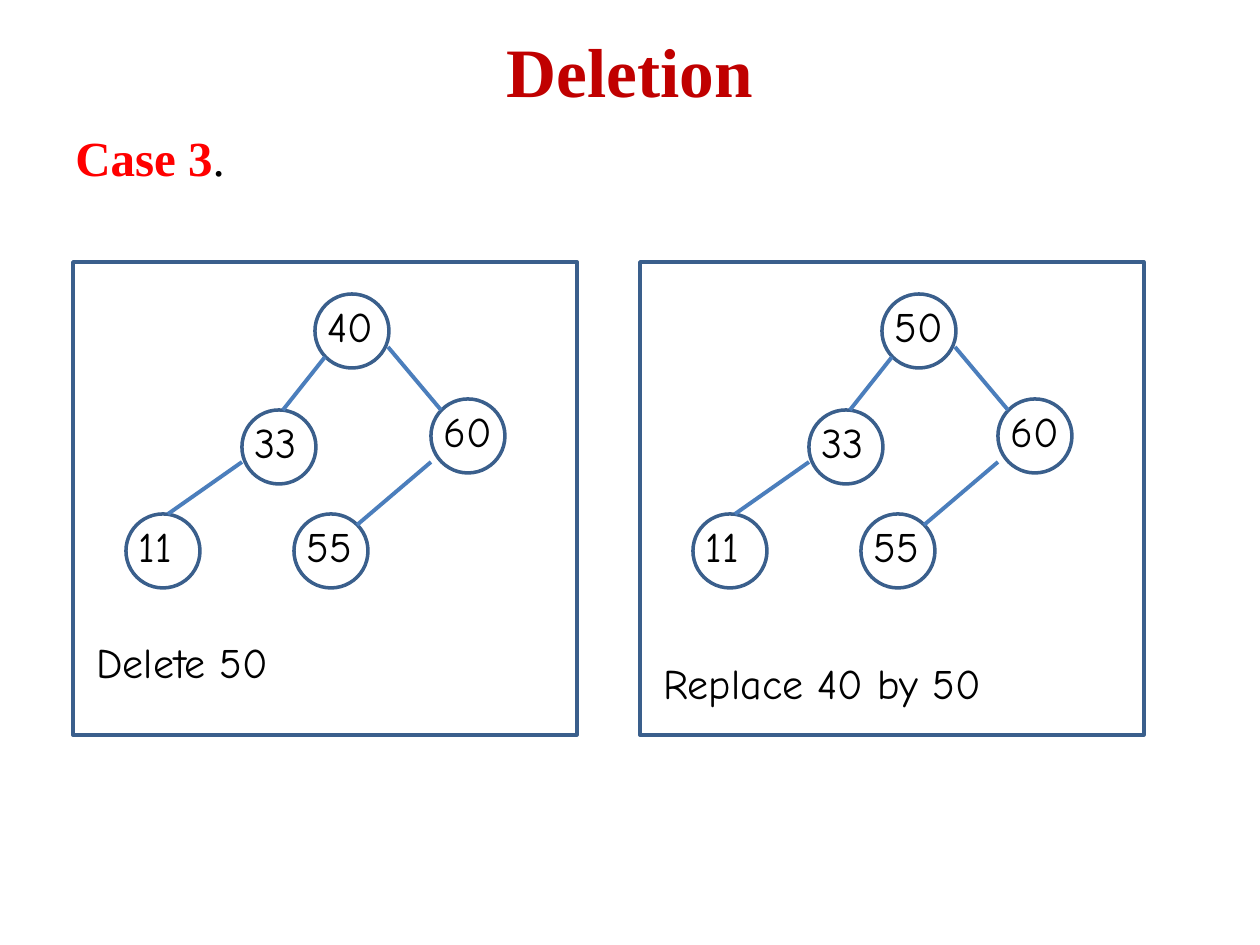
from dataclasses import dataclass
from pptx import Presentation
from pptx.dml.color import RGBColor
from pptx.enum.shapes import MSO_CONNECTOR as CONN, MSO_SHAPE as SHAPE
from pptx.enum.text import MSO_ANCHOR as ANCHOR, PP_ALIGN as ALIGN
from pptx.oxml.ns import qn
from pptx.util import Pt
from lxml import etree


@dataclass(frozen=True)
class Theme:
    serif: str = "Times New Roman"
    hand: str = "Comic Neue"
    title: str = "C00000"
    case: str = "FF0000"
    ink: str = "000000"
    outline: str = "3A5F8C"
    edge: str = "4B7EBC"
    title_size: float = 39.6
    case_size: int = 28
    tree_size: int = 24
    outline_width: float = 2
    edge_width: float = 2.25


THEME = Theme()
PX = 914400 // 126

TITLE = "Deletion"
CASE = [("Case 3", THEME.case, True), (".", THEME.ink, False)]
PANELS = [
    {"keys": ("40", "60", "55", "33", "11"), "caption": "Delete 50", "y": 630, "w": 284},
    {"keys": ("50", "60", "55", "33", "11"), "caption": "Replace 40 by 50", "y": 651, "w": 388},
]
NODES = [(242, 294), (358, 399), (221, 514), (169, 410), (53, 514)]
EDGES = [(252, 357, 210, 410), (169, 462, 95, 514),
         (315, 347, 368, 410), (358, 462, 284, 525)]
PANEL_X, PANEL_Y, PANEL_W, PANEL_H, PANEL_STEP = 73, 262, 504, 473, 567
NODE = 74
CAPTION_INDENT = 11


def emu(*lengths):
    return [n * PX for n in lengths]


def add_text(shapes, box, runs, font, size, align=ALIGN.LEFT, anchor=ANCHOR.TOP):
    tf = shapes.add_textbox(*emu(*box)).text_frame
    tf.word_wrap = True
    tf.vertical_anchor = anchor
    p = tf.paragraphs[0]
    p.alignment = align
    p.font.name, p.font.size = font, Pt(size)
    for text, color, bold in runs:
        r = p.add_run()
        r.text = text
        r.font.bold = bold
        r.font.color.rgb = RGBColor.from_string(color)


def add_label(shapes, box, text):
    add_text(shapes, box, [(text, THEME.ink, False)], THEME.hand, THEME.tree_size)


def set_line(sp, color, width):
    sp.line.color.rgb = RGBColor.from_string(color)
    sp.line.width = Pt(width)


def add_outline(shapes, kind, box):
    sp = shapes.add_shape(kind, *emu(*box))
    sp.shadow.inherit = False
    sp.fill.background()
    set_line(sp, THEME.outline, THEME.outline_width)


def add_edge(shapes, ends):
    line = shapes.add_connector(CONN.STRAIGHT, *emu(*ends))
    set_line(line, THEME.edge, THEME.edge_width)
    etree.SubElement(line._element.spPr, qn("a:effectLst"))


def add_panel(slide, left, panel):
    shapes = slide.shapes.add_group_shape().shapes
    add_outline(shapes, SHAPE.RECTANGLE, (left, PANEL_Y, PANEL_W, PANEL_H))
    for key, (x, y) in zip(panel["keys"], NODES):
        add_outline(shapes, SHAPE.OVAL, (left + x, y, NODE, NODE))
        add_label(shapes, (left + x, y, 84, 63), key)
    for x1, y1, x2, y2 in EDGES:
        add_edge(shapes, (left + x1, y1, left + x2, y2))
    add_label(shapes, (left + CAPTION_INDENT, panel["y"], panel["w"], 63), panel["caption"])


def main():
    prs = Presentation()
    prs.slide_width, prs.slide_height = emu(1260, 945)
    slide = prs.slides.add_slide(prs.slide_layouts[6])
    add_text(slide.shapes, (63, 21, 1134, 98), [(TITLE, THEME.title, True)],
             THEME.serif, THEME.title_size, ALIGN.CENTER, ANCHOR.MIDDLE)
    add_text(slide.shapes, (63, 121, 1134, 70), CASE, THEME.serif, THEME.case_size)
    for i, panel in enumerate(PANELS):
        add_panel(slide, PANEL_X + i * PANEL_STEP, panel)
    prs.save("out.pptx")


if __name__ == "__main__":
    main()
